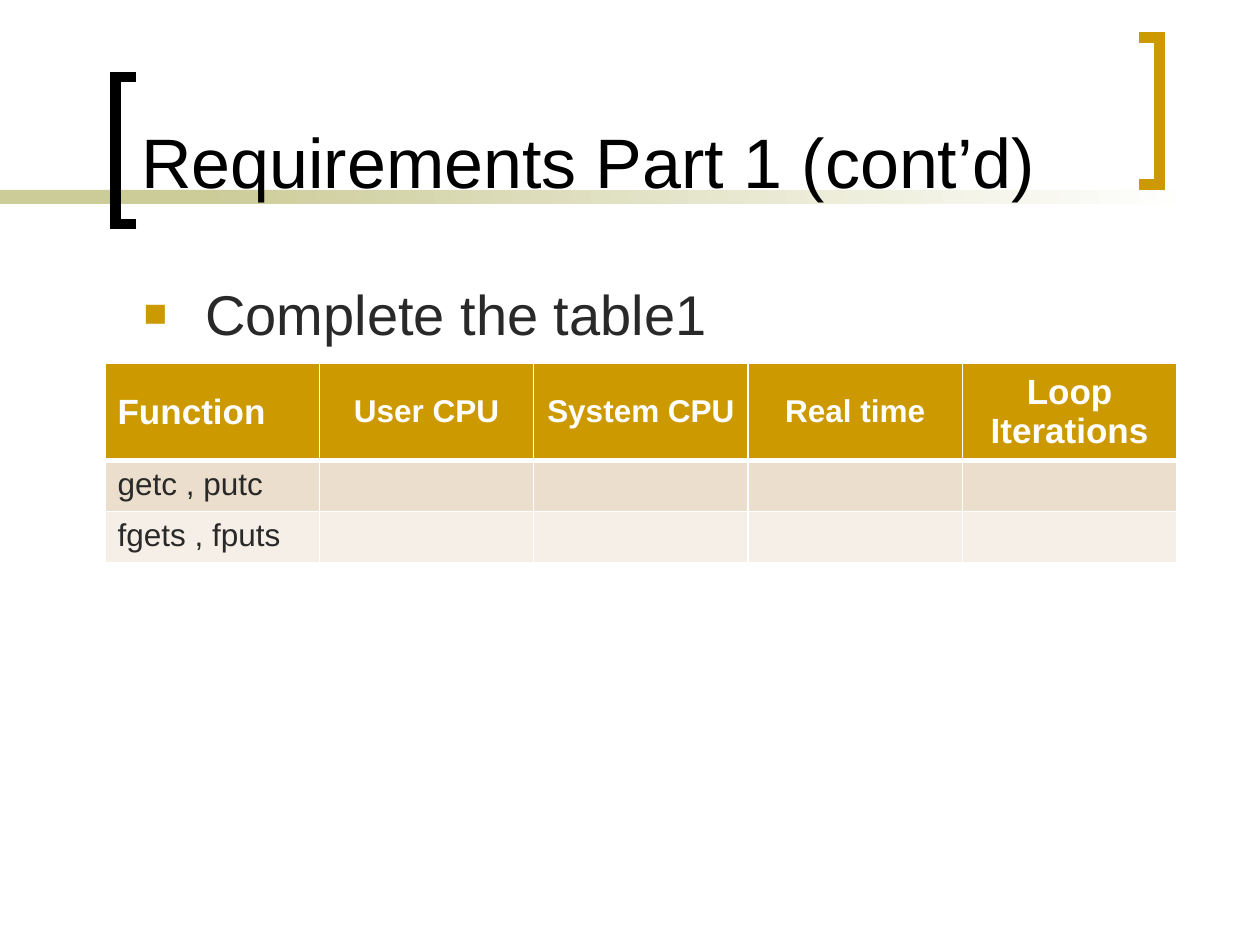
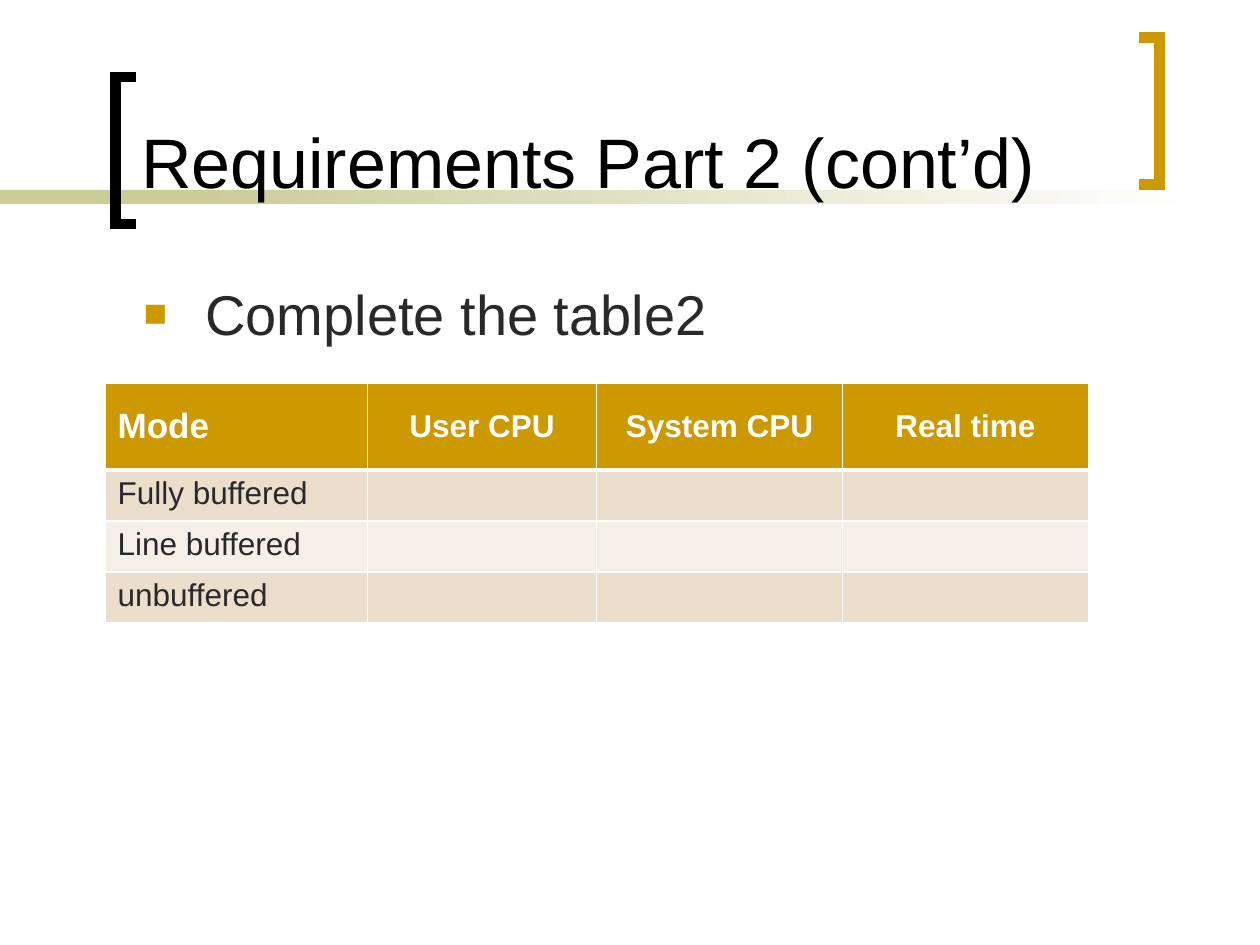
"""Build two requirement slides, each with a bracketed title, a bullet and a results table."""
from dataclasses import dataclass

from lxml import etree
from pptx import Presentation
from pptx.dml.color import RGBColor
from pptx.enum.shapes import MSO_SHAPE
from pptx.enum.text import MSO_ANCHOR, MSO_AUTO_SIZE, PP_ALIGN
from pptx.oxml.ns import qn
from pptx.util import Pt

RECT = MSO_SHAPE.RECTANGLE
LEFT, CENTER = PP_ALIGN.LEFT, PP_ALIGN.CENTER
TOP, MIDDLE, BOTTOM = MSO_ANCHOR.TOP, MSO_ANCHOR.MIDDLE, MSO_ANCHOR.BOTTOM
NO_FIT = MSO_AUTO_SIZE.NONE
TITLE_ONLY = 5


@dataclass(frozen=True)
class Theme:
    font: str = "Arial"
    black: str = "000000"
    white: str = "FFFFFF"
    text: str = "292929"
    gold: str = "CC9900"
    olive: str = "CCCC99"
    stripes: tuple = ("ECDECC", "F6EFE7")
    title: int = 40
    body: int = 32
    head: int = 20
    cell: int = 18


THEME = Theme()
TITLE_BOX = (73.5, 8, 564, 111.5)
BODY_BOX = (75, 156, 603, 324)
BANDS = [((0, 108.5, 168, 8), False), ((114, 108.5, 570, 8), True)]
BRACKETS = [
    (THEME.black, [(78, 128), (66, 128), (66, 44), (78, 44)]),
    (THEME.gold, [(651, 21.5), (662.5, 21.5), (662.5, 105.5), (651, 105.5)]),
]
TABLE_LEFT, ROW_HEIGHT = 60, 29.2
MEASURES = [(name, THEME.cell, CENTER) for name in ("User CPU", "System CPU", "Real time")]
SLIDES = [
    dict(
        title="Requirements Part 1 (cont’d)",
        bullet="Complete the table1",
        top=207.7,
        head_height=55.3,
        widths=[122.5] * 5,
        head=[("Function", THEME.head, LEFT), *MEASURES,
              ("Loop Iterations", THEME.head, CENTER)],
        rows=["getc , putc", "fgets , fputs "],
    ),
    dict(
        title="Requirements Part 2 (cont’d)",
        bullet="Complete the table2",
        top=219,
        head_height=49.5,
        widths=[150, 131, 140.5, 140.5],
        head=[("Mode", THEME.head, LEFT), *MEASURES],
        rows=["Fully buffered", "Line buffered", "unbuffered"],
    ),
]


def rgb(color):
    return RGBColor.from_string(color)


def pts(values):
    return [Pt(v) for v in values]


def write(p, text, size, color, bold=False, align=LEFT):
    p.alignment = align
    r = p.add_run()
    r.text = text
    r.font.name, r.font.size, r.font.bold = THEME.font, Pt(size), bold
    r.font.color.rgb = rgb(color)


def space_before(p):
    spacing = etree.SubElement(p._p.get_or_add_pPr(), qn("a:spcBef"))
    etree.SubElement(spacing, qn("a:spcPct"), val="20000")


def add_backdrop(s):
    for box, fades in BANDS:
        sp = s.shapes.add_shape(RECT, *pts(box))
        sp.shadow.inherit = False
        sp.line.fill.background()
        if fades:
            sp.fill.gradient()
            sp.fill.gradient_angle = 0
            for stop, color in zip(sp.fill.gradient_stops, (THEME.olive, THEME.white)):
                stop.color.rgb = rgb(color)
        else:
            sp.fill.solid()
            sp.fill.fore_color.rgb = rgb(THEME.olive)
    for color, corners in BRACKETS:
        start, *rest = [pts(corner) for corner in corners]
        builder = s.shapes.build_freeform(*start)
        builder.add_line_segments(rest, close=False)
        sp = builder.convert_to_shape()
        sp.shadow.inherit = False
        sp.fill.background()
        sp.line.color.rgb, sp.line.width = rgb(color), Pt(6)
        etree.SubElement(sp.line._get_or_add_ln(), qn("a:miter"), lim="800000")


def add_title(s, text):
    sp = s.shapes.title
    sp._element.getparent().append(sp._element)
    sp.left, sp.top, sp.width, sp.height = pts(TITLE_BOX)
    tf = sp.text_frame
    tf.vertical_anchor, tf.auto_size, tf.word_wrap = BOTTOM, NO_FIT, True
    write(tf.paragraphs[0], text, THEME.title, THEME.black)


def add_bullet(s, text):
    tf = s.shapes.add_textbox(*pts(BODY_BOX)).text_frame
    tf.word_wrap = True
    p = tf.paragraphs[0]
    write(p, text, THEME.body, THEME.text)
    space_before(p)
    pPr = p._p.get_or_add_pPr()
    pPr.set("marL", str(Pt(35.3)))
    pPr.set("indent", str(-Pt(35.3)))
    bullet_color = etree.SubElement(pPr, qn("a:buClr"))
    etree.SubElement(bullet_color, qn("a:srgbClr"), val=THEME.gold)
    etree.SubElement(pPr, qn("a:buSzPct"), val="70000")
    etree.SubElement(pPr, qn("a:buFont"), typeface=THEME.font)
    etree.SubElement(pPr, qn("a:buChar"), char="■")


def style_cell(cell, color, anchor, top_line, bottom_line):
    cell.fill.solid()
    cell.fill.fore_color.rgb = rgb(color)
    cell.vertical_anchor = anchor
    edges = (("L", 1), ("R", 1), ("T", top_line), ("B", bottom_line))
    for i, (side, width) in enumerate(edges):
        ln = etree.Element(qn(f"a:ln{side}"), w=str(Pt(width)))
        fill = etree.SubElement(ln, qn("a:solidFill"))
        etree.SubElement(fill, qn("a:srgbClr"), val=THEME.white)
        cell._tc.get_or_add_tcPr().insert(i, ln)


def add_results(s, data):
    widths = data["widths"]
    heights = [data["head_height"]] + [ROW_HEIGHT] * len(data["rows"])
    box = (TABLE_LEFT, data["top"], sum(widths), sum(heights))
    table = s.shapes.add_table(len(heights), len(widths), *pts(box)).table
    for column, width in zip(table.columns, widths):
        column.width = Pt(width)
    for row, height in zip(table.rows, heights):
        row.height = Pt(height)
    for cell, (text, size, align) in zip(table.rows[0].cells, data["head"]):
        style_cell(cell, THEME.gold, MIDDLE, 1, 3)
        p = cell.text_frame.paragraphs[0]
        write(p, text, size, THEME.white, True, align)
        if size == THEME.cell:
            space_before(p)
    for i, label in enumerate(data["rows"]):
        cells = table.rows[i + 1].cells
        for cell in cells:
            style_cell(cell, THEME.stripes[i % 2], TOP, 1 if i else 3, 1)
        write(cells[0].text_frame.paragraphs[0], label, THEME.cell, THEME.text)


prs = Presentation()
prs.slide_width, prs.slide_height = Pt(720), Pt(540)
for data in SLIDES:
    s = prs.slides.add_slide(prs.slide_layouts[TITLE_ONLY])
    add_backdrop(s)
    add_title(s, data["title"])
    add_bullet(s, data["bullet"])
    add_results(s, data)
prs.save("out.pptx")
